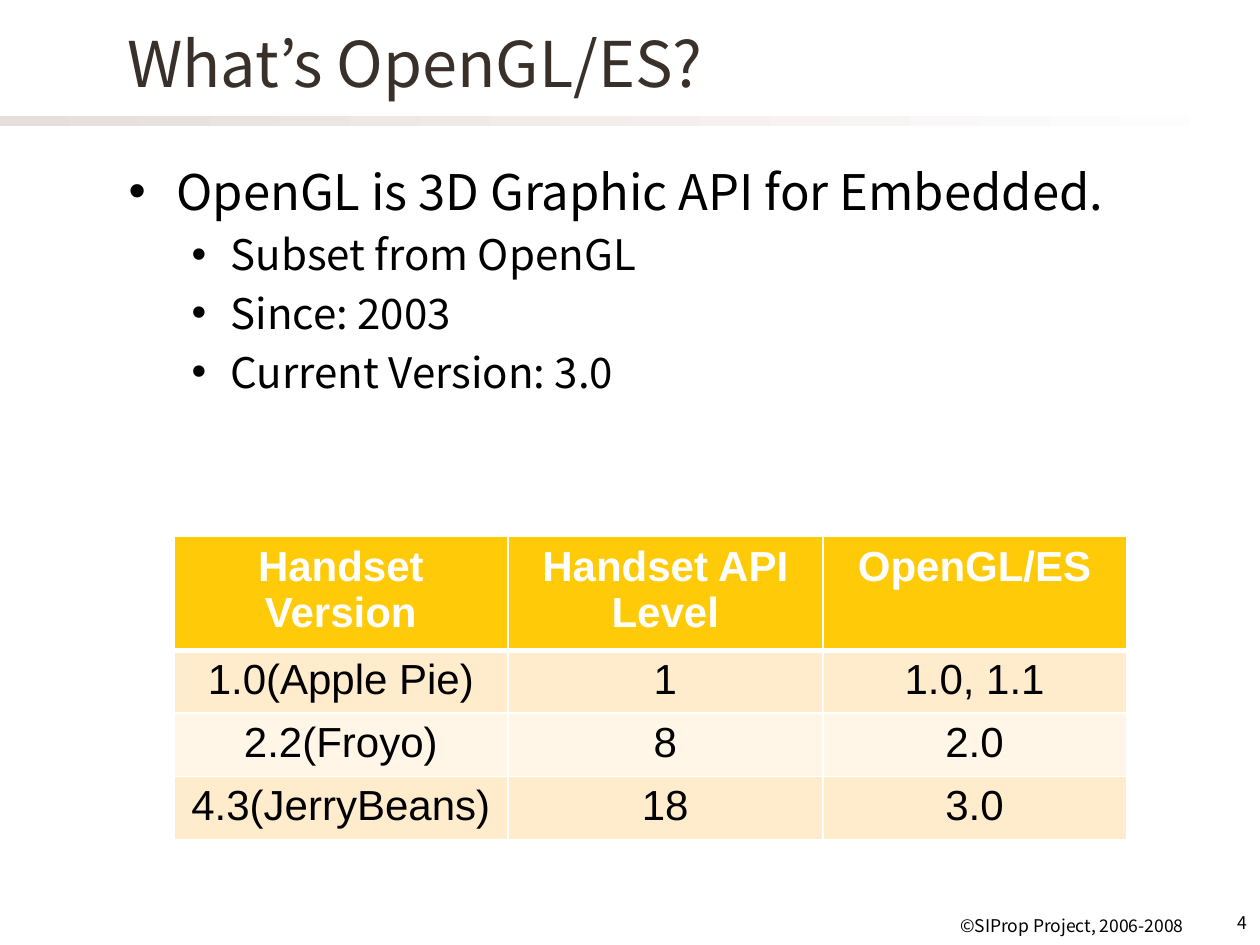
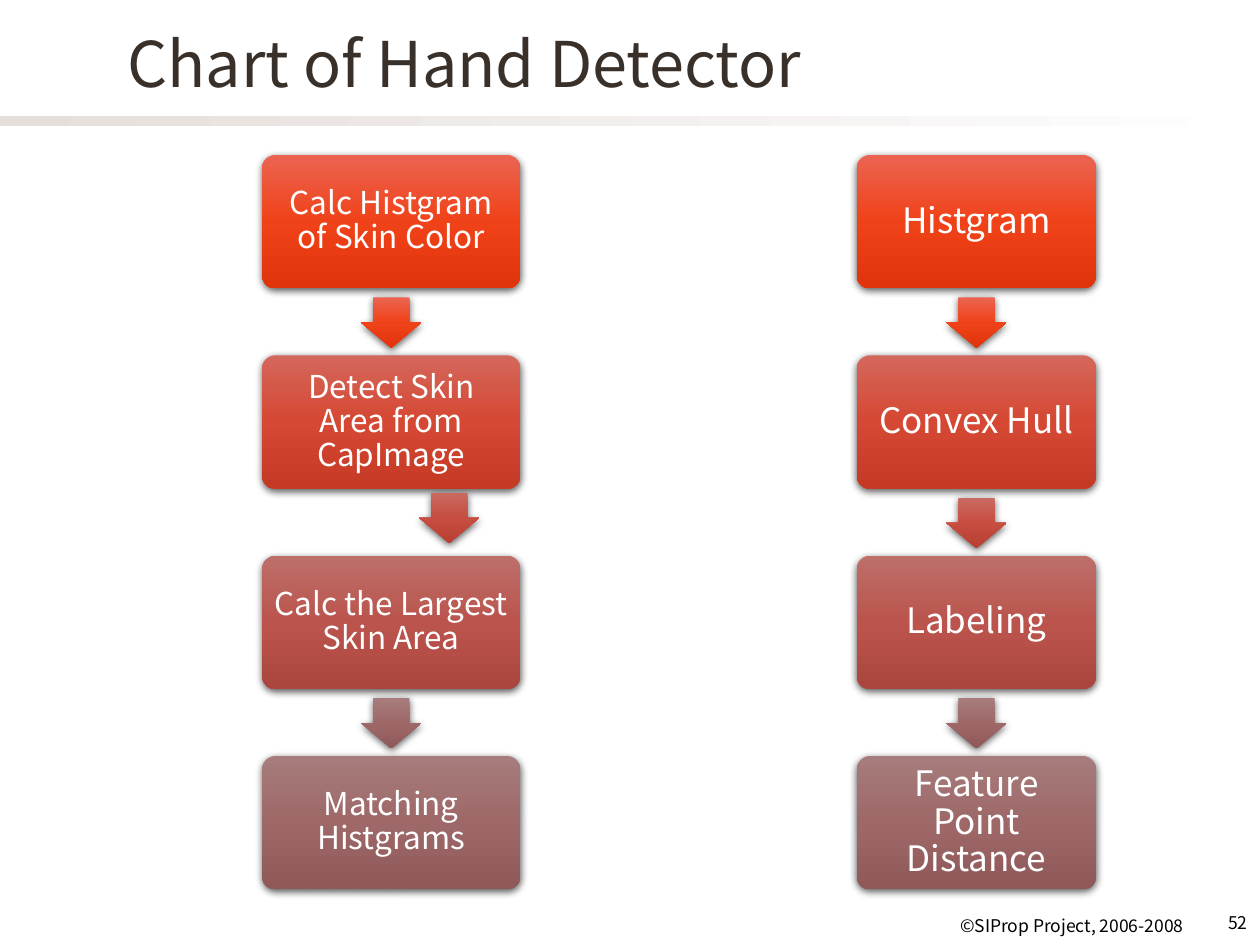
"""Build two slides: a graphics API summary with a table, and a hand detector flow."""
from lxml.etree import SubElement as Sub
from pptx import Presentation
from pptx.dml.color import RGBColor
from pptx.enum.shapes import MSO_SHAPE as Shape
from pptx.enum.text import MSO_ANCHOR as Anchor, MSO_AUTO_SIZE as Auto, PP_ALIGN as Align
from pptx.oxml.ns import qn
from pptx.util import Inches, Pt

SANS = "Noto Sans CJK JP"
WHITE, BLACK, BROWN = "FFFFFF", "000000", "39302A"
GOLD, CREAM, PALE = "FFCA08", "FFECCC", "FFF6E7"
BAND = ["E5DEDB", WHITE]
RED = ["EB6451", "F04219", "E0340C"]
BRICK = ["D4675B", "D54833", "C53A25"]
CLAY = ["C96A62", "C74D40", "B83F32"]
ROSE = ["BD6F6A", "BA544D", "AB463F"]
MAUVE = ["A77C7C", "9E6868", "905959"]


def paint(part, *hues, angle=90):
    """Fill a shape, cell or font with one colour, or a shape with a gradient."""
    if len(hues) == 1:
        part.fill.solid()
        part.fill.fore_color.rgb = RGBColor.from_string(hues[0])
        return
    part.fill.gradient()
    stops = part._element.xpath(".//a:gsLst")[0]
    stops.clear()
    for i, hue in enumerate(hues):
        stop = Sub(stops, qn("a:gs"), pos=str(100000 * i // (len(hues) - 1)))
        Sub(stop, qn("a:srgbClr"), val=hue)
    part._element.xpath(".//a:lin")[0].set("ang", str(angle * 60000))
    part.line.fill.background()
    part.shadow.inherit = False


def write(frame, text, size=10, hue=BLACK, face=SANS, align=Align.LEFT, bold=False,
          level=0, indent=None, before=0, spacing=None):
    """Add one formatted paragraph to a text frame."""
    frame.word_wrap = True
    para = frame.paragraphs[0] if not frame.text else frame.add_paragraph()
    if indent:
        props = para._p.get_or_add_pPr()
        props.set("marL", str(Inches(indent[0])))
        props.set("indent", str(Inches(indent[1])))
        Sub(props, qn("a:buChar"), char="•")
    para.level, para.alignment = level, align
    para.space_before, para.line_spacing = Pt(before), spacing
    run = para.add_run()
    run.text = text
    run.font.size, run.font.name, run.font.bold = Pt(size), face, bold
    paint(run.font, hue)


deck = Presentation()
deck.slide_width, deck.slide_height = Inches(10), Inches(7.5)

slides = []
for layout, title, number in [(1, "What’s OpenGL/ES?", "4"),
                              (5, "Chart of Hand Detector", "52")]:
    slide = deck.slides.add_slide(deck.slide_layouts[layout])
    slides.append(slide)
    band = slide.shapes.add_shape(Shape.RECTANGLE, 0, Inches(0.92), Inches(10), Inches(0.08))
    paint(band, *BAND, angle=0)
    for text, *place in [("©SIProp Project, 2006-2008", 5.08, 7.21, 4.41, 0.32),
                         (number, 9.52, 7.19, 0.48, 0.31)]:
        foot = slide.shapes.add_textbox(*map(Inches, place))
        write(foot.text_frame, text, align=Align.RIGHT)
    head = slide.shapes.title
    head.left, head.top, head.width, head.height = map(Inches, (0.91, 0, 8.5, 0.99))
    head.text_frame.auto_size = Auto.NONE
    head.text_frame.vertical_anchor = Anchor.MIDDLE
    write(head.text_frame, title, size=36, hue=BROWN)

intro, flow = slides

body = intro.placeholders[1]
body.left, body.top, body.width, body.height = map(Inches, (0.92, 1.23, 8.5, 5.83))
body.text_frame.auto_size = Auto.NONE
write(body.text_frame, "OpenGL is 3D Graphic API for Embedded.", size=28, indent=(0.38, -0.38))
for point in ["Subset from OpenGL", "Since: 2003", "Current Version: 3.0"]:
    write(body.text_frame, point, size=24, level=1, indent=(0.81, -0.31), before=4.8)

rows = [
    ("Handset Version", "Handset API Level", "OpenGL/ES"),
    ("1.0(Apple Pie)", "1", "1.0, 1.1"),
    ("2.2(Froyo)", "8", "2.0"),
    ("4.3(JerryBeans)", "18", "3.0"),
]
table = intro.shapes.add_table(4, 3, Inches(1.38), Inches(4.26), Inches(7.56), Inches(1.64)).table
for column, width in zip(table.columns, (2.65, 2.5, 2.41)):
    column.width = Inches(width)
for r, (row, hue) in enumerate(zip(rows, (GOLD, CREAM, PALE, CREAM))):
    table.rows[r].height = Inches(0.41)
    for c, text in enumerate(row):
        cell = table.cell(r, c)
        props = cell._tc.get_or_add_tcPr()
        for side in "LRTB":
            thick = (r, side) in [(0, "B"), (1, "T")]
            edge = Sub(props, qn(f"a:ln{side}"), w=str(Pt(3 if thick else 1)))
            Sub(Sub(edge, qn("a:solidFill")), qn("a:srgbClr"), val=WHITE)
        paint(cell, hue)
        write(cell.text_frame, text, size=24, hue=BLACK if r else WHITE, face="Arial",
              align=Align.CENTER, bold=r == 0)

left = ["Calc Histgram of Skin Color", "Detect Skin Area from CapImage",
        "Calc the Largest Skin Area", "Matching Histgrams"]
right = ["Histgram", "Convex Hull", "Labeling", "Feature Point Distance"]
step = 1.59
for steps, x, width, size, inset, shift in [(left, 2.08, 2.05, 18, 0.07, (0.46, -0.04)),
                                            (right, 6.8, 1.9, 20, 0.08, (0, 0))]:
    parts = []
    for i, (text, hues) in enumerate(zip(steps, (RED, BRICK, ROSE, MAUVE))):
        box = flow.shapes.add_shape(Shape.ROUNDED_RECTANGLE, Inches(x), Inches(1.23 + i * step),
                                    Inches(width), Inches(1.06))
        box.adjustments[0] = 0.1
        paint(box, *hues)
        parts.append(box)
        frame = box.text_frame
        frame.vertical_anchor = Anchor.MIDDLE
        frame.margin_left = frame.margin_right = Inches(inset)
        frame.margin_top = frame.margin_bottom = Inches(inset)
        write(frame, text, size=size, hue=WHITE, align=Align.CENTER, spacing=0.9)
    for i, hues in enumerate((RED, CLAY, MAUVE)):
        dx, dy = shift if i == 1 else (0, 0)
        arrow = flow.shapes.add_shape(Shape.DOWN_ARROW, Inches(x + width / 2 - 0.24 + dx),
                                      Inches(2.36 + i * step + dy), Inches(0.48), Inches(0.4))
        arrow.adjustments[0], arrow.adjustments[1] = 0.6, 0.5
        paint(arrow, *hues)
        parts.append(arrow)
    for part in parts:
        glow = Sub(part._element.spPr.find(qn("a:effectLst")), qn("a:outerShdw"),
                   blurRad=str(Pt(4.5)), dist=str(Pt(1.5)), dir="5400000", rotWithShape="0")
        Sub(Sub(glow, qn("a:srgbClr"), val=BLACK), qn("a:alpha"), val="63000")

deck.save("out.pptx")
